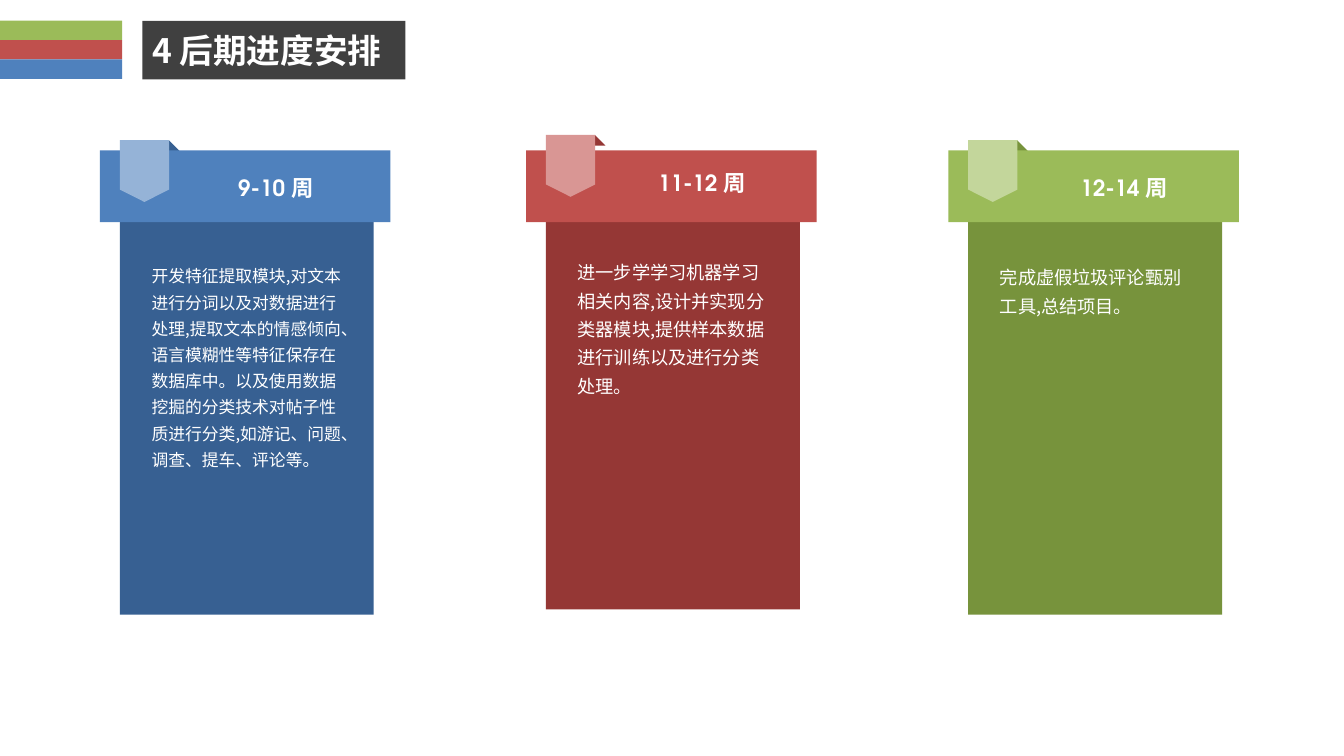
from lxml.etree import SubElement
from pptx import Presentation
from pptx.dml.color import RGBColor
from pptx.enum.shapes import MSO_SHAPE
from pptx.enum.text import MSO_ANCHOR, PP_ALIGN
from pptx.oxml.ns import qn
from pptx.util import Cm, Pt

CJK_FONT = "Noto Sans CJK SC"
WEEK_FONT = "TeX Gyre Adventor"

presentation = Presentation()
presentation.slide_width = Cm(33.87)
presentation.slide_height = Cm(19.05)
slide = presentation.slides.add_slide(presentation.slide_layouts[6])


def add_block(kind, left, top, width, height, color):
    block = slide.shapes.add_shape(kind, Cm(left), Cm(top), Cm(width), Cm(height))
    block.shadow.inherit = False
    block.fill.solid()
    block.fill.fore_color.rgb = RGBColor.from_string(color)
    block.line.fill.background()
    return block


def write(holder, text, size, font_name=CJK_FONT, bold=False, align=PP_ALIGN.LEFT, spacing=1.0):
    paragraph = holder.text_frame.paragraphs[0]
    paragraph.text = text
    paragraph.alignment = align
    paragraph.line_spacing = spacing
    font = paragraph.font
    font.name, font.size, font.bold = font_name, Pt(size), bold
    font.color.rgb = RGBColor.from_string("FFFFFF")
    # Chinese characters take their own typeface
    character_style = paragraph._p.pPr.find(qn("a:defRPr"))
    SubElement(character_style, qn("a:ea")).set("typeface", CJK_FONT)


# Header stripes
for row, color in enumerate(["9BBB59", "C0504D", "4F81BD"]):
    add_block(MSO_SHAPE.RECTANGLE, 0, 0.52 + 0.49 * row, 3.08, 0.49, color)

# Title
title = add_block(MSO_SHAPE.RECTANGLE, 3.59, 0.53, 6.63, 1.47, "404040")
title.text_frame.vertical_anchor = MSO_ANCHOR.MIDDLE
write(title, "4 后期进度安排", 24, bold=True)

# Schedule columns: left, top, dark, main and light colours, weeks, task, task size
schedule = [
    (3.02, 5.59, "376092", "4F81BD", "95B3D7", "9-10 周",
     "开发特征提取模块,对文本进行分词以及对数据进行处理,提取文本的情感倾向、"
     "语言模糊性等特征保存在数据库中。以及使用数据挖掘的分类技术对帖子性质进行分类,"
     "如游记、问题、调查、提车、评论等。", 12),
    (13.76, 5.46, "953735", "C0504D", "D99694", "11-12 周",
     "进一步学学习机器学习相关内容,设计并实现分类器模块,"
     "提供样本数据进行训练以及进行分类处理。", 13),
    (24.4, 5.59, "77933C", "9BBB59", "C3D69B", "12-14 周",
     "完成虚假垃圾评论甄别工具,总结项目。", 13),
]
for left, top, dark, main, light, weeks, task, task_size in schedule:
    # Body with its task
    add_block(MSO_SHAPE.RECTANGLE, left, top, 6.4, 9.9, dark)
    task_box = slide.shapes.add_textbox(Cm(left + 0.55), Cm(top + 0.84), Cm(5.44), Cm(7))
    task_box.text_frame.word_wrap = True
    write(task_box, task, task_size, spacing=1.3)

    # Banner with folded ribbon
    add_block(MSO_SHAPE.RIGHT_TRIANGLE, left + 1.23, top - 2.06, 0.27, 0.27, dark)
    add_block(MSO_SHAPE.RECTANGLE, left - 0.5, 3.79, 7.32, 1.81, main)
    add_block(MSO_SHAPE.FLOWCHART_OFFPAGE_CONNECTOR, left, top - 2.06, 1.24, 1.56, light)

    # Weeks
    weeks_box = slide.shapes.add_textbox(Cm(left + 1.99), Cm(top - 1.52), Cm(3.89), Cm(0.91))
    weeks_box.text_frame.word_wrap = False
    write(weeks_box, weeks, 16, WEEK_FONT, True, PP_ALIGN.CENTER, 1.3)

presentation.save("out.pptx")
